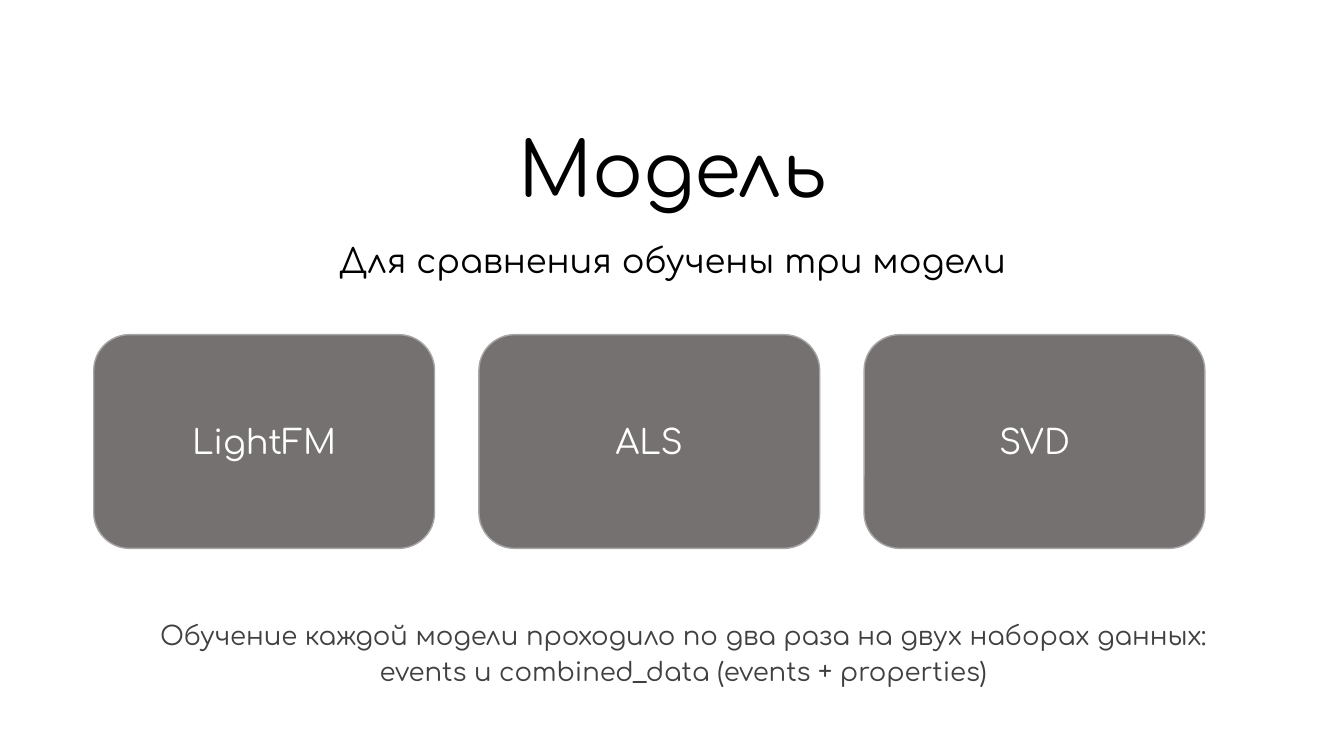
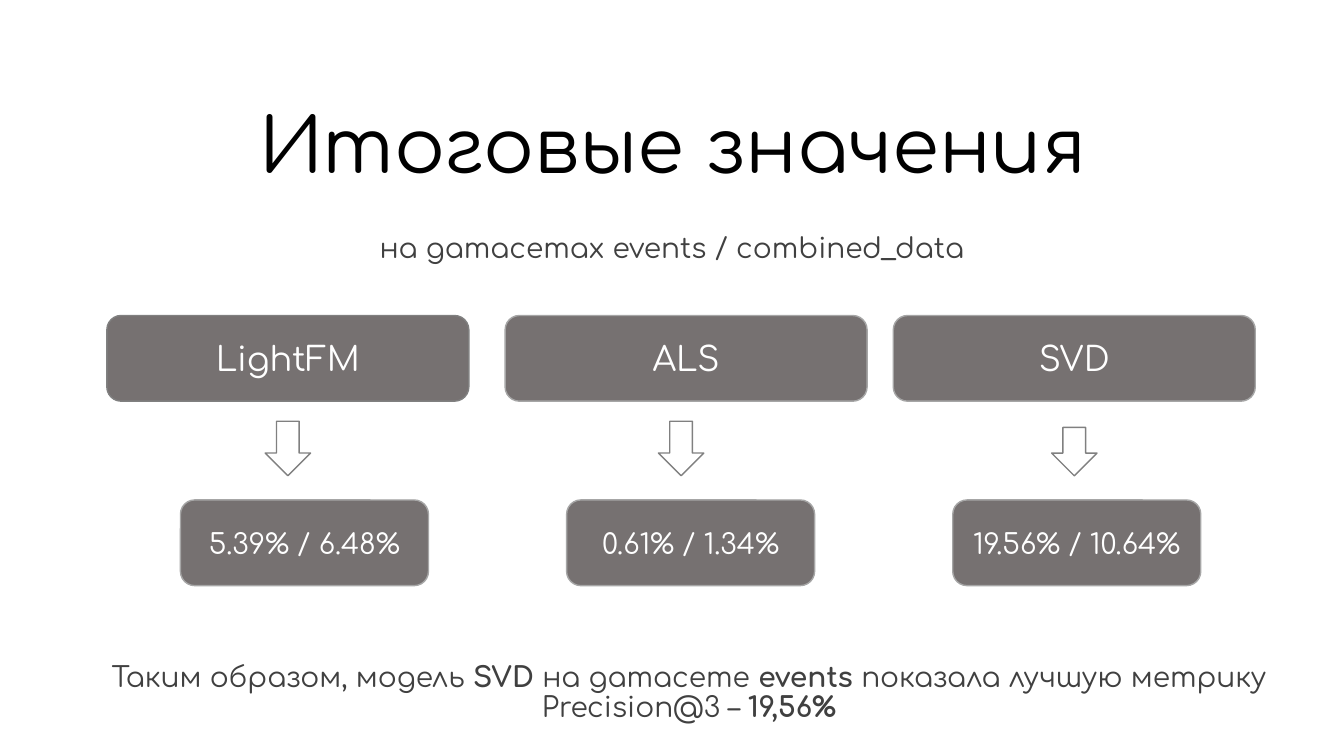
from pptx import Presentation
from pptx.dml.color import RGBColor
from pptx.enum.shapes import MSO_SHAPE
from pptx.enum.text import MSO_ANCHOR, MSO_AUTO_SIZE, PP_ALIGN
from pptx.util import Inches, Pt

# Content
MODELS = ["LightFM", "ALS", "SVD"]
MODEL_TITLE = "Модель"
MODEL_SUBTITLE = "Для сравнения обучены три модели"
TRAINING_NOTE = [
    [("Обучение каждой модели проходило по два раза на двух наборах данных:", False)],
    [("events и combined_data (events + properties)", False)],
]
RESULT_TITLE = "Итоговые значения"
RESULT_SUBTITLE = "на датасетах events / combined_data"
PRECISIONS = ["5.39% / 6.48%", "0.61% / 1.34%", "19.56% / 10.64%"]
CONCLUSION = [[
    ("Таким образом, модель ", False), ("SVD ", True),
    ("на датасете ", False), ("events ", True),
    ("показала лучшую метрику Precision@3 – ", False), ("19,56%", True),
]]

# Shared style
FONT = "Comfortaa"
BLACK = RGBColor(0x00, 0x00, 0x00)
WHITE = RGBColor(0xFF, 0xFF, 0xFF)
DARK_GRAY = RGBColor(0x40, 0x40, 0x40)
BOX_GRAY = RGBColor(0x76, 0x71, 0x71)
LINE_GRAY = RGBColor(0x80, 0x80, 0x80)
LIGHT_GRAY = RGBColor(0xA6, 0xA6, 0xA6)
ROUNDED = MSO_SHAPE.ROUNDED_RECTANGLE
DOWN_ARROW = MSO_SHAPE.DOWN_ARROW
CENTER = PP_ALIGN.CENTER
MIDDLE, BOTTOM, TOP = MSO_ANCHOR.MIDDLE, MSO_ANCHOR.BOTTOM, MSO_ANCHOR.TOP
NO_AUTOFIT = MSO_AUTO_SIZE.NONE
TITLE_LEFT, TITLE_WIDTH, TITLE_HEIGHT = 1.67, 10, 0.85
TEXT_WIDTH = 12.63
TITLE_ONLY = 5

presentation = Presentation()
presentation.slide_width = Inches(13.33)
presentation.slide_height = Inches(7.5)


def write(shape, paragraphs, size, color, anchor, line_spacing=None, space_before=0):
    """Fill a shape with centred paragraphs, each a list of (text, bold)."""
    frame = shape.text_frame
    frame.word_wrap = True
    frame.auto_size = NO_AUTOFIT
    frame.vertical_anchor = anchor
    for index, runs in enumerate(paragraphs):
        paragraph = frame.add_paragraph() if index else frame.paragraphs[0]
        paragraph.alignment = CENTER
        paragraph.line_spacing = line_spacing
        paragraph.space_before = Pt(space_before)
        for text, bold in runs:
            run = paragraph.add_run()
            run.text = text
            run.font.name = FONT
            run.font.size = Pt(size)
            run.font.bold = bold
            run.font.color.rgb = color


def add_titled_slide(title, top):
    slide = presentation.slides.add_slide(presentation.slide_layouts[TITLE_ONLY])
    placeholder = slide.shapes.title
    placeholder.left, placeholder.top = Inches(TITLE_LEFT), Inches(top)
    placeholder.width, placeholder.height = Inches(TITLE_WIDTH), Inches(TITLE_HEIGHT)
    write(placeholder, [[(title, False)]], 54, BLACK, BOTTOM, 0.9)
    return slide


def add_text(slide, box, paragraphs, size, color=DARK_GRAY, line_spacing=0.9):
    text_box = slide.shapes.add_textbox(*map(Inches, box))
    write(text_box, paragraphs, size, color, TOP, line_spacing, 10)


def add_outline(slide, kind, box, line_color):
    shape = slide.shapes.add_shape(kind, *map(Inches, box))
    shape.shadow.inherit = False
    shape.fill.background()
    shape.line.color.rgb = line_color
    shape.line.width = Pt(1)
    return shape


def add_box(slide, box, label, size, line_color=LIGHT_GRAY):
    shape = add_outline(slide, ROUNDED, box, line_color)
    shape.fill.solid()
    shape.fill.fore_color.rgb = BOX_GRAY
    write(shape, [[(label, False)]], size, WHITE, MIDDLE)


# Slide 1: the three models
slide = add_titled_slide(MODEL_TITLE, 1.32)
add_text(slide, (TITLE_LEFT, 2.38, TITLE_WIDTH, 0.56),
         [[(MODEL_SUBTITLE, False)]], 24, BLACK)
for column, model in enumerate(MODELS):
    add_box(slide, (0.93 + 3.82 * column, 3.32, 3.38, 2.12), model, 24)
add_text(slide, (0.46, 6.18, TEXT_WIDTH, 0.74), TRAINING_NOTE, 18.5, line_spacing=0.7)

# Slide 2: model, arrow and precision in each column
HEADER_LEFTS = [1.06, 5.01, 8.86]
HEADER_LINES = [LINE_GRAY, LIGHT_GRAY, LIGHT_GRAY]
ARROW_HEIGHTS = [0.54, 0.54, 0.48]
ARROW_BOTTOM = 4.72

slide = add_titled_slide(RESULT_TITLE, 1.08)
add_text(slide, (0.35, 2.28, TEXT_WIDTH, 0.5), [[(RESULT_SUBTITLE, False)]], 20)
columns = zip(MODELS, PRECISIONS, HEADER_LEFTS, HEADER_LINES, ARROW_HEIGHTS)
for column, (model, precision, left, line_color, height) in enumerate(columns):
    add_box(slide, (left, 3.13, 3.59, 0.85), model, 24, line_color)
    add_outline(slide, DOWN_ARROW,
                (2.63 + 3.9 * column, ARROW_BOTTOM - height, 0.45, height), LINE_GRAY)
    add_box(slide, (1.79 + 3.83 * column, 4.96, 2.46, 0.85), precision, 20)
add_text(slide, (0.52, 6.53, TEXT_WIDTH, 1.01), CONCLUSION, 20)

presentation.save("out.pptx")
